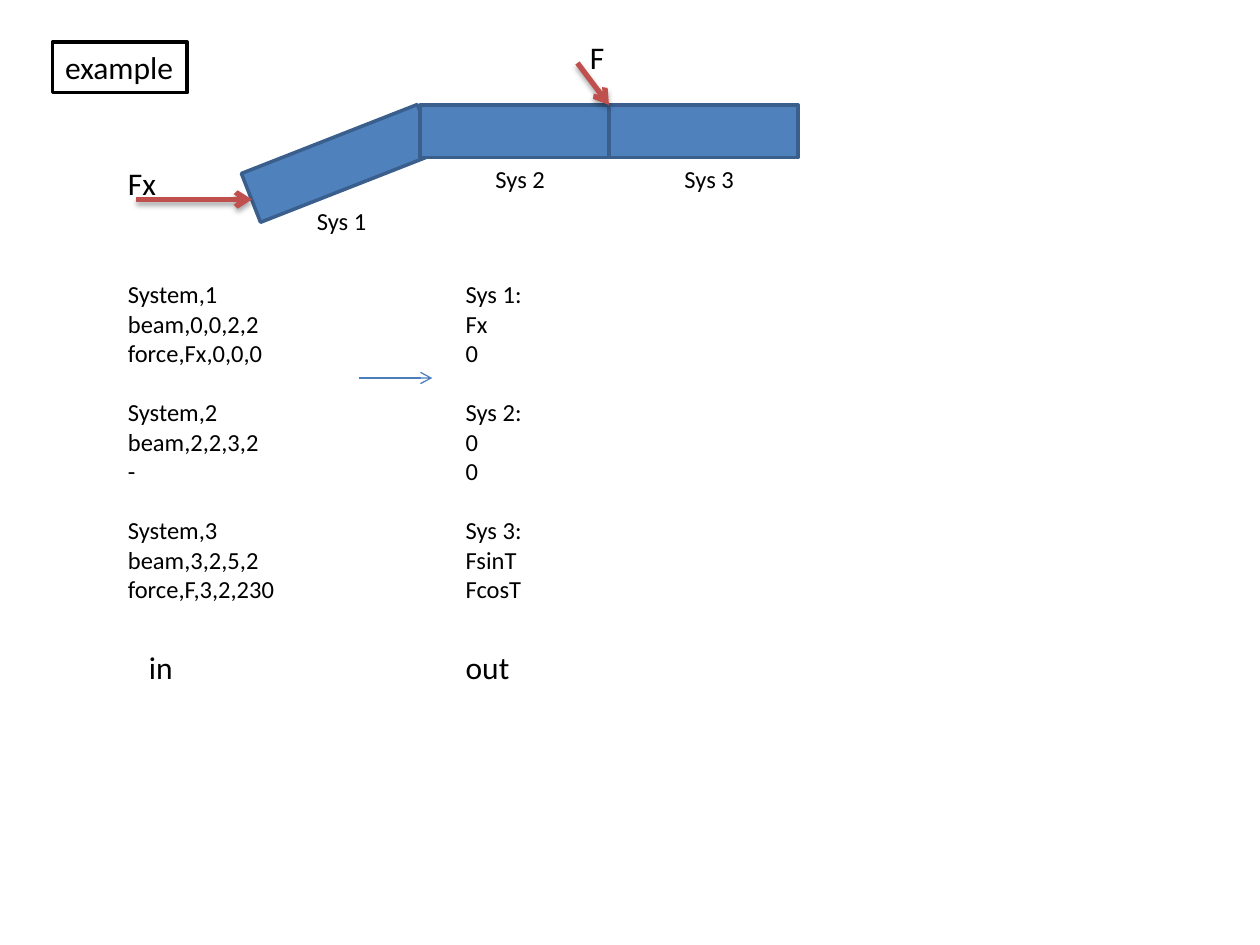
"""Build the beam example slide with its input and output listings."""
from dataclasses import dataclass

import pptx
import pptx.dml.color
import pptx.enum.shapes
import pptx.enum.text
import pptx.oxml
import pptx.util
from pptx.util import Pt

NS = 'xmlns:a="http://schemas.openxmlformats.org/drawingml/2006/main"'
SHADOW = (
    '<a:outerShdw blurRad="39370" dist="22860" dir="5400000" rotWithShape="0">'
    '<a:srgbClr val="000000"><a:alpha val="35000"/></a:srgbClr></a:outerShdw>'
)


@dataclass
class Beam:
    left: float
    top: float
    rotation: float = 0


@dataclass
class Label:
    left: float
    top: float
    width: float
    text: str
    size: float = 14


@dataclass
class Arrow:
    x1: float
    y1: float
    x2: float
    y2: float
    color: str = "C0504D"
    weight: float = 3
    shadow: bool = True


@dataclass
class Listing:
    left: float
    width: float
    groups: list[list[str]]


BEAMS = [Beam(139.7, 78.4, 338.6), Beam(240, 60), Beam(348, 60)]
ARROWS = [
    Arrow(78, 114, 144, 114),
    Arrow(330, 36, 348, 60),
    Arrow(205, 216, 247, 216, "4B7EBC", 0.75, False),
]
LABELS = [
    Label(174, 114, 43, "Sys 1"),
    Label(276, 90, 43, "Sys 2"),
    Label(384, 90, 43, "Sys 3"),
    Label(66, 90, 31, "Fx", 18),
    Label(330, 18, 23, "F", 18),
    Label(78, 367, 28, "in", 18),
    Label(259, 367, 40, "out", 18),
]
LISTINGS = [
    Listing(66, 99, [
        ["System,1", "beam,0,0,2,2", "force,Fx,0,0,0"],
        ["System,2", "beam,2,2,3,2", "-"],
        ["System,3", "beam,3,2,5,2", "force,F,3,2,230"],
    ]),
    Listing(259, 47, [
        ["Sys 1:", "Fx", "0"],
        ["Sys 2:", "0", "0"],
        ["Sys 3:", "FsinT", "FcosT"],
    ]),
]


def rgb(color: str) -> pptx.dml.color.RGBColor:
    return pptx.dml.color.RGBColor.from_string(color)


def paint(sp, fill: str, line: str) -> None:
    sp.fill.solid()
    sp.fill.fore_color.rgb = rgb(fill)
    sp.line.color.rgb = rgb(line)
    sp.line.width = Pt(2)


def format_text(tf, size: float) -> None:
    tf.word_wrap = False
    tf.vertical_anchor = pptx.enum.text.MSO_ANCHOR.TOP
    for p in tf.paragraphs:
        p.alignment = pptx.enum.text.PP_ALIGN.LEFT
        for r in p.runs:
            r.font.name = "Calibri"
            r.font.size = Pt(size)
            r.font.color.rgb = rgb("000000")


def draw_title(s, text: str) -> None:
    sp = s.shapes.title
    sp.left, sp.top, sp.width, sp.height = Pt(30), Pt(24), Pt(77), Pt(29)
    paint(sp, "FFFFFF", "000000")
    tf = sp.text_frame
    tf.text = text
    tf.auto_size = pptx.enum.text.MSO_AUTO_SIZE.NONE
    format_text(tf, 18)


def draw_beam(s, beam: Beam) -> None:
    sp = s.shapes.add_shape(
        pptx.enum.shapes.MSO_SHAPE.RECTANGLE,
        Pt(beam.left), Pt(beam.top), Pt(108), Pt(30),
    )
    sp.rotation = beam.rotation
    sp.shadow.inherit = False
    paint(sp, "4F81BD", "3A5F8C")


def draw_arrow(s, arrow: Arrow) -> None:
    sp = s.shapes.add_connector(
        pptx.enum.shapes.MSO_CONNECTOR.STRAIGHT,
        Pt(arrow.x1), Pt(arrow.y1), Pt(arrow.x2), Pt(arrow.y2),
    )
    sp.line.color.rgb = rgb(arrow.color)
    sp.line.width = Pt(arrow.weight)
    sp.line._get_or_add_ln().append(
        pptx.oxml.parse_xml(f'<a:tailEnd {NS} type="arrow"/>'))
    effect = SHADOW if arrow.shadow else ""
    sp._element.spPr.append(
        pptx.oxml.parse_xml(f"<a:effectLst {NS}>{effect}</a:effectLst>"))


def draw_label(s, label: Label, height: float):
    sp = s.shapes.add_textbox(
        Pt(label.left), Pt(label.top), Pt(label.width), Pt(height))
    tf = sp.text_frame
    tf.text = label.text
    format_text(tf, label.size)
    return tf


def draw_listing(s, listing: Listing) -> None:
    lines = [line for group in listing.groups for line in group]
    label = Label(listing.left, 156, listing.width, "\n".join(lines))
    tf = draw_label(s, label, 194)
    start = 0
    for group in listing.groups[:-1]:
        start += len(group)
        tf.paragraphs[start].space_before = Pt(17)


def main() -> None:
    prs = pptx.Presentation()
    prs.slide_width, prs.slide_height = Pt(720), Pt(540)
    s = prs.slides.add_slide(prs.slide_layouts[5])
    draw_title(s, "example")
    for beam in BEAMS:
        draw_beam(s, beam)
    for arrow in ARROWS:
        draw_arrow(s, arrow)
    for label in LABELS:
        draw_label(s, label, 24.5 if label.size == 14 else 29)
    for listing in LISTINGS:
        draw_listing(s, listing)
    prs.save("out.pptx")


if __name__ == "__main__":
    main()
